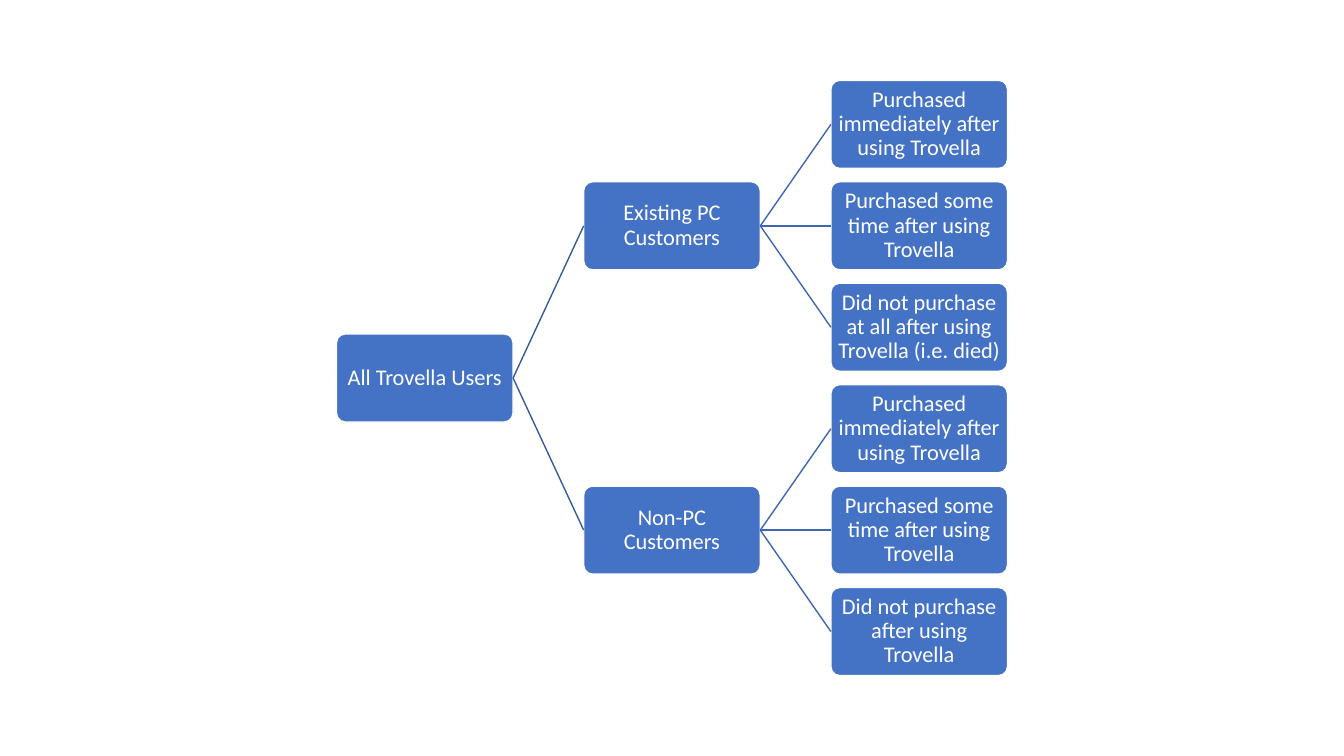
from dataclasses import dataclass

from lxml.etree import SubElement
from pptx import Presentation
from pptx.dml.color import RGBColor
from pptx.enum.shapes import MSO_CONNECTOR, MSO_SHAPE
from pptx.enum.text import MSO_ANCHOR, PP_ALIGN
from pptx.oxml.ns import qn
from pptx.util import Cm, Pt


@dataclass(frozen=True)
class Theme:
    font: str = "Calibri"
    text_size: int = 16
    box_fill: str = "4472C4"
    white: str = "FFFFFF"
    branch_lines: tuple = ("365B9D", "3E67B2")


LEFT, MIDDLE = 8.48, 9.525
BOX_WIDTH, BOX_HEIGHT = 4.45, 2.22
COLUMN_STEP, ROW_STEP = 6.23, 2.556

USER_TREE = ("All Trovella Users", [
    ("Existing PC Customers", [
        ("Purchased immediately after using Trovella", []),
        ("Purchased some time after using Trovella", []),
        ("Did not purchase at all after using Trovella (i.e. died)", []),
    ]),
    ("Non-PC Customers", [
        ("Purchased immediately after using Trovella", []),
        ("Purchased some time after using Trovella", []),
        ("Did not purchase after using Trovella", []),
    ]),
])


def write_text(box, text, *, font, size, color, align=PP_ALIGN.CENTER,
               anchor=MSO_ANCHOR.MIDDLE, inset=0.09, line_spacing=0.9):
    frame = box.text_frame
    frame.word_wrap = True
    frame.vertical_anchor = anchor
    frame.margin_left = frame.margin_right = Cm(inset)
    frame.margin_top = frame.margin_bottom = Cm(inset)
    para = frame.paragraphs[0]
    para.alignment = align
    para.line_spacing = line_spacing
    span = para.add_run()
    span.text = text
    span.font.name = font
    span.font.size = Pt(size)
    span.font.color.rgb = RGBColor.from_string(color)


def count_leaves(node):
    children = node[1]
    return sum(map(count_leaves, children)) or 1


class TreePage:
    def __init__(self, page, theme):
        self.page = page
        self.theme = theme

    def add_box(self, text, left, center):
        box = self.page.shapes.add_shape(
            MSO_SHAPE.ROUNDED_RECTANGLE, Cm(left), Cm(center - BOX_HEIGHT / 2),
            Cm(BOX_WIDTH), Cm(BOX_HEIGHT))
        box.adjustments[0] = 0.1
        box.shadow.inherit = False
        box.fill.solid()
        box.fill.fore_color.rgb = RGBColor.from_string(self.theme.box_fill)
        box.line.color.rgb = RGBColor.from_string(self.theme.white)
        box.line.width = Pt(1)
        write_text(box, text, font=self.theme.font, size=self.theme.text_size,
                   color=self.theme.white)
        return box

    def add_branch(self, parent, child, color):
        """Join the parent's right side to the child's left side."""
        branch = self.page.shapes.add_connector(MSO_CONNECTOR.STRAIGHT, 0, 0, 0, 0)
        branch.begin_connect(parent, 3)
        branch.end_connect(child, 1)
        branch.line.color.rgb = RGBColor.from_string(color)
        branch.line.width = Pt(1)
        SubElement(branch.element.spPr, qn("a:effectLst"))

    def add_tree(self, node, top_row, level=0):
        """Draw a node centred on the rows of its leaves, then its children."""
        text, children = node
        center = MIDDLE + (top_row + (count_leaves(node) - 1) / 2) * ROW_STEP
        box = self.add_box(text, LEFT + level * COLUMN_STEP, center)
        for child in children:
            child_box = self.add_tree(child, top_row, level + 1)
            self.add_branch(box, child_box, self.theme.branch_lines[level])
            top_row += count_leaves(child)
        return box


def main():
    deck = Presentation()
    deck.slide_width, deck.slide_height = Cm(33.87), Cm(19.05)
    page = deck.slides.add_slide(deck.slide_layouts[6])
    first_row = (1 - count_leaves(USER_TREE)) / 2
    TreePage(page, Theme()).add_tree(USER_TREE, first_row)
    deck.save("out.pptx")


if __name__ == "__main__":
    main()
